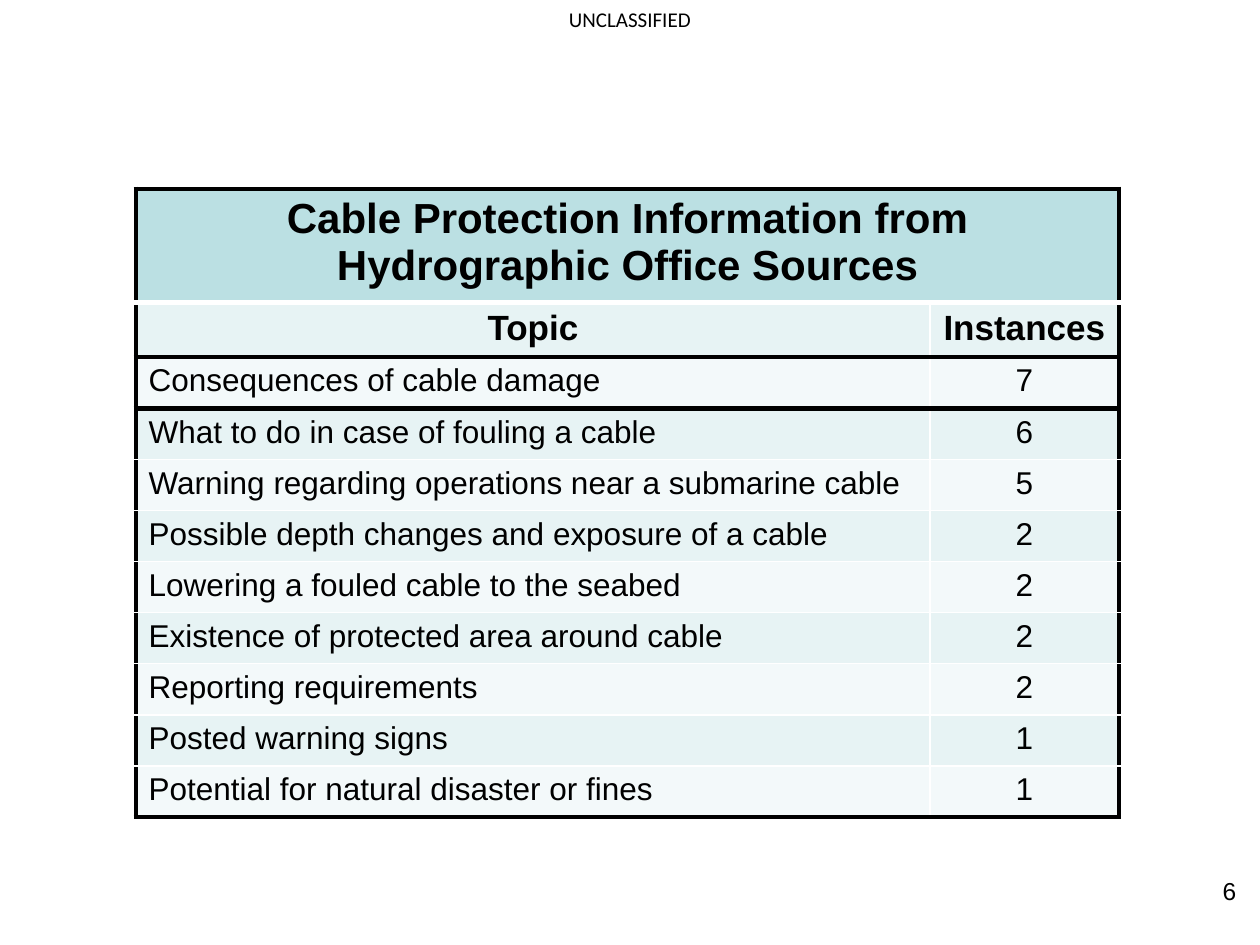
import pptx
import pptx.dml.color
import pptx.enum.text
import pptx.oxml.ns
import pptx.util
from lxml import etree

# Content
MARKING = "UNCLASSIFIED"
PAGE_NUMBER = "6"
TITLE = "Cable Protection Information from Hydrographic Office Sources"
HEADINGS = ("Topic", "Instances")
TOPICS = [
    ("Consequences of cable damage", 7),
    ("What to do in case of fouling a cable", 6),
    ("Warning regarding operations near a submarine cable", 5),
    ("Possible depth changes and exposure of a cable", 2),
    ("Lowering a fouled cable to the seabed", 2),
    ("Existence of protected area around cable", 2),
    ("Reporting requirements", 2),
    ("Posted warning signs", 1),
    ("Potential for natural disaster or fines", 1),
]

# Layout and style
WIDTH, HEIGHT = 10, 7.5
TABLE_LEFT, TABLE_TOP, TABLE_HEIGHT = 1.08, 1.5, 4.98
COLUMNS = (6.3, 1.5)
TITLE_HEIGHT, HEADING_HEIGHT = 0.9, 0.43
BLACK, WHITE = "000000", "FFFFFF"
TITLE_FILL, BANDS = "BBE0E3", ("F3F9FA", "E7F3F4")
THICK, THIN, RULE = (BLACK, 3), (WHITE, 1), (WHITE, 3)
ALIGN = pptx.enum.text.PP_ALIGN
inches = pptx.util.Inches


def color(value):
    return pptx.dml.color.RGBColor.from_string(value)


def write(text_frame, text, size, align, bold=False, font="Arial"):
    paragraph = text_frame.paragraphs[0]
    paragraph.alignment = align
    run = paragraph.add_run()
    run.text = text
    run.font.name = font
    run.font.size = pptx.util.Pt(size)
    run.font.bold = bold
    run.font.color.rgb = color(BLACK)


def add_label(slide, box, text, size, align, font):
    shape = slide.shapes.add_textbox(*map(inches, box))
    shape.text_frame.word_wrap = True
    write(shape.text_frame, text, size, align, font=font)


def set_borders(cell, left, right, top, bottom):
    properties = cell._tc.get_or_add_tcPr()
    sides = zip("LRTB", (left, right, top, bottom))
    for position, (side, (line_color, points)) in enumerate(sides):
        line = etree.Element(pptx.oxml.ns.qn(f"a:ln{side}"), w=str(pptx.util.Pt(points)))
        fill = etree.SubElement(line, pptx.oxml.ns.qn("a:solidFill"))
        etree.SubElement(fill, pptx.oxml.ns.qn("a:srgbClr"), val=line_color)
        properties.insert(position, line)


def main():
    presentation = pptx.Presentation()
    presentation.slide_width = inches(WIDTH)
    presentation.slide_height = inches(HEIGHT)
    slide = presentation.slides.add_slide(presentation.slide_layouts[6])

    # Marking and page number
    add_label(slide, (7.58, 6.9, 2.33, 0.52), PAGE_NUMBER, 14, ALIGN.RIGHT, "Arial")
    add_label(slide, (0, 0, WIDTH, 0.3), MARKING, 12, ALIGN.CENTER, "Calibri")

    # Table grid: the topics share the height left below the two heading rows
    rows = [(TITLE, "")] + [HEADINGS] + TOPICS
    table = slide.shapes.add_table(
        len(rows), len(COLUMNS), inches(TABLE_LEFT), inches(TABLE_TOP),
        inches(sum(COLUMNS)), inches(TABLE_HEIGHT)).table
    table.horz_banding = False
    table.first_row = False
    for column, width in zip(table.columns, COLUMNS):
        column.width = inches(width)
    topic_height = (TABLE_HEIGHT - TITLE_HEIGHT - HEADING_HEIGHT) / len(TOPICS)
    heights = [TITLE_HEIGHT, HEADING_HEIGHT] + [topic_height] * len(TOPICS)
    for row, height in zip(table.rows, heights):
        row.height = inches(height)
    table.cell(0, 0).merge(table.cell(0, 1))

    # Horizontal lines, from the top edge to the bottom edge
    lines = [THICK, RULE, THICK, THICK] + [THIN] * (len(TOPICS) - 2) + [THICK]

    # Cells
    for row_index, values in enumerate(rows):
        for column_index, value in enumerate(values):
            cell = table.cell(row_index, column_index)
            cell.fill.solid()
            cell.fill.fore_color.rgb = color(BANDS[row_index % 2] if row_index else TITLE_FILL)
            inner = THICK if row_index == 0 else THIN
            set_borders(cell,
                        THICK if column_index == 0 else inner,
                        THICK if column_index == 1 else inner,
                        lines[row_index], lines[row_index + 1])
            if cell.is_spanned:
                continue
            size = {0: 24, 1: 20}.get(row_index, 18)
            left_aligned = row_index > 1 and column_index == 0
            write(cell.text_frame, str(value), size,
                  ALIGN.LEFT if left_aligned else ALIGN.CENTER, bold=row_index < 2)

    presentation.save("out.pptx")


if __name__ == "__main__":
    main()
